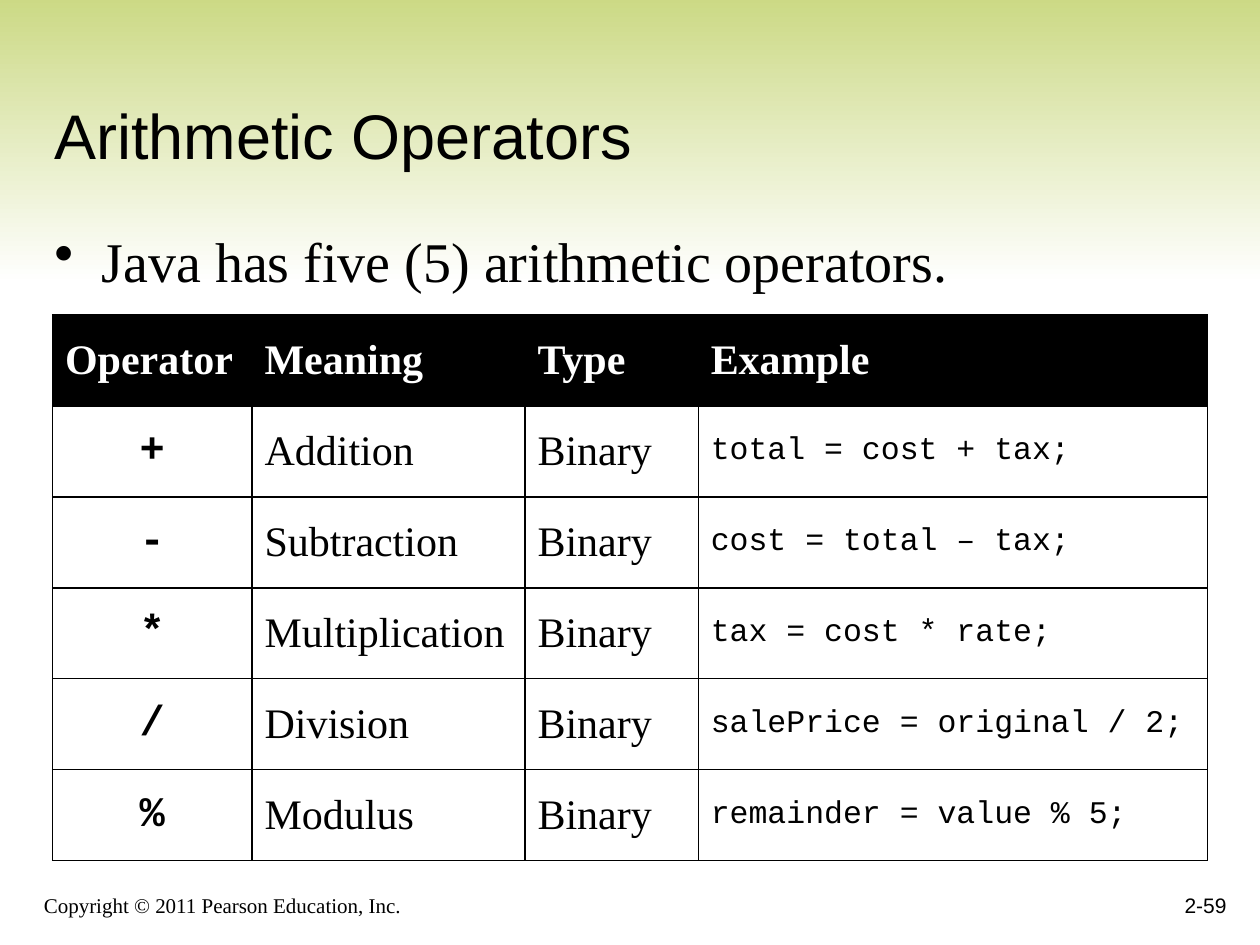
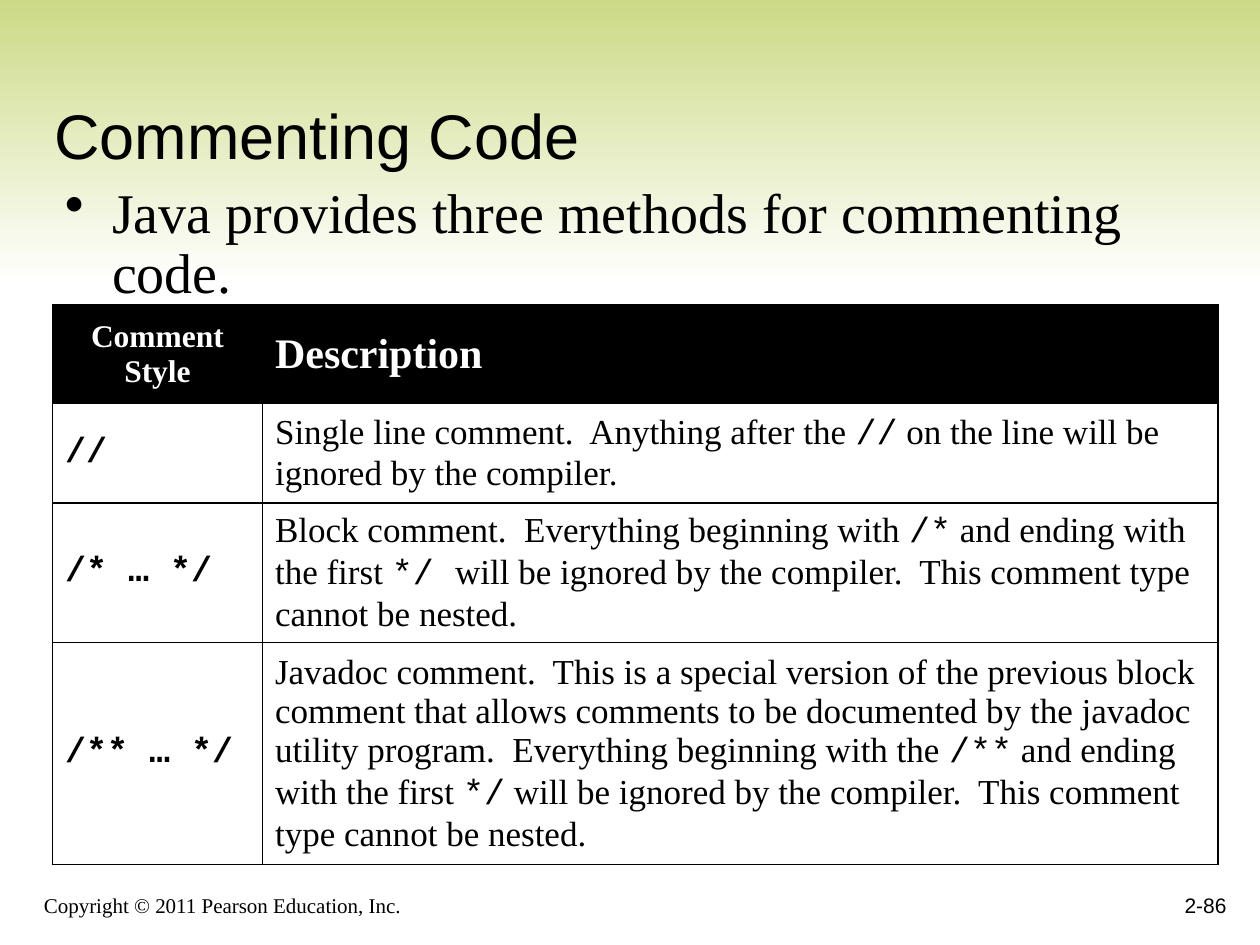
from dataclasses import dataclass, replace

from lxml.etree import SubElement
from pptx import Presentation
from pptx.dml.color import RGBColor
from pptx.enum.shapes import MSO_SHAPE as Shape
from pptx.enum.text import MSO_ANCHOR as Anchor, PP_ALIGN as Align
from pptx.oxml.ns import qn
from pptx.util import Pt


@dataclass(frozen=True)
class TextStyle:
    font: str
    size: float
    color: RGBColor
    bold: bool = False
    align: Align = Align.LEFT


class Theme:
    black = RGBColor(0x00, 0x00, 0x00)
    white = RGBColor(0xFF, 0xFF, 0xFF)
    band_green = RGBColor(0xCA, 0xD8, 0x81)
    serif, sans, mono = "Times New Roman", "Arial", "Courier New"
    border_width = 0.75
    inset_x, inset_y = 7.2, 3.6

    title = TextStyle(sans, 36, black)
    bullet = TextStyle(serif, 32, black)
    copyright = TextStyle(serif, 12, black)
    page_number = TextStyle(sans, 12, black, align=Align.RIGHT)
    header = TextStyle(serif, 24, white, bold=True)
    narrow_header = replace(header, size=18, align=Align.CENTER)
    word = TextStyle(serif, 24, black)
    statement = TextStyle(mono, 18, black)
    operator = TextStyle(mono, 24, black, bold=True, align=Align.CENTER)
    comment_mark = TextStyle(mono, 20, black, bold=True)
    description = TextStyle(serif, 20, black)


class Deck:
    def __init__(self, theme):
        self.theme = theme
        self.presentation = Presentation()
        self.presentation.slide_width = Pt(720)
        self.presentation.slide_height = Pt(540)
        self.slide = None

    def add_slide(self, title, page_number):
        """Start a slide with the band, title and footer that all slides share."""
        theme = self.theme
        self.slide = self.presentation.slides.add_slide(self.presentation.slide_layouts[6])
        self.add_band()
        self.add_text("Copyright © 2011 Pearson Education, Inc.",
                      (18, 498, 438, 30), theme.copyright)
        self.add_text(page_number, (558, 492, 150, 36), theme.page_number)
        self.add_text(title, (24, 24, 678, 78), theme.title)

    def add_band(self):
        band = self.slide.shapes.add_shape(Shape.RECTANGLE, Pt(0), Pt(-6), Pt(720), Pt(168))
        band.shadow.inherit = False
        band.line.fill.background()
        band.fill.gradient()
        band.fill.gradient_angle = 270
        stops = band.fill.gradient_stops
        for stop, color in zip(stops, (self.theme.band_green, self.theme.white)):
            stop.color.rgb = color

    def add_text(self, text, box, style, anchor=Anchor.BOTTOM):
        shape = self.slide.shapes.add_textbox(*map(Pt, box))
        frame = shape.text_frame
        frame.word_wrap = True
        frame.vertical_anchor = anchor
        frame.margin_left = frame.margin_right = Pt(self.theme.inset_x)
        frame.margin_top = frame.margin_bottom = Pt(self.theme.inset_y)
        self.add_runs(frame.paragraphs[0], text, style)
        return frame

    def add_bullet(self, text, box, line_spacing=1.0):
        frame = self.add_text(text, box, self.theme.bullet, Anchor.TOP)
        frame.margin_right = Pt(0)
        paragraph = frame.paragraphs[0]
        paragraph.line_spacing = line_spacing
        properties = paragraph._p.get_or_add_pPr()
        properties.set("marL", str(Pt(27)))
        properties.set("indent", str(Pt(-27)))
        SubElement(properties, qn("a:buChar"), char="•")

    def add_table(self, corner, widths, heights, rows, header_styles, column_styles,
                  body_fill=None):
        """Add a table whose first row is the black header."""
        size = sum(widths), sum(heights)
        frame = self.slide.shapes.add_table(len(rows), len(widths), *map(Pt, corner + size))
        table = frame.table
        table.horz_banding = table.first_row = False
        for column, width in zip(table.columns, widths):
            column.width = Pt(width)
        for row, height in zip(table.rows, heights):
            row.height = Pt(height)
        for row_index, texts in enumerate(rows):
            styles = column_styles if row_index else header_styles
            fill = body_fill if row_index else self.theme.black
            for column_index, (text, style) in enumerate(zip(texts, styles)):
                self.fill_cell(table.cell(row_index, column_index), text, style, fill)

    def fill_cell(self, cell, text, style, fill):
        self.add_borders(cell)
        if fill is None:
            cell.fill.background()
        else:
            cell.fill.solid()
            cell.fill.fore_color.rgb = fill
        cell.vertical_anchor = Anchor.MIDDLE
        cell.margin_left = cell.margin_right = Pt(self.theme.inset_x)
        cell.margin_top = cell.margin_bottom = Pt(self.theme.inset_y)
        self.add_runs(cell.text_frame.paragraphs[0], text, style)

    def add_borders(self, cell):
        properties = cell._tc.get_or_add_tcPr()
        for side in ("a:lnL", "a:lnR", "a:lnT", "a:lnB"):
            line = SubElement(properties, qn(side), w=str(Pt(self.theme.border_width)))
            solid = SubElement(line, qn("a:solidFill"))
            SubElement(solid, qn("a:srgbClr"), val=str(self.theme.black))

    def add_runs(self, paragraph, text, style):
        """Add the text; parts between backticks are set in the code font."""
        paragraph.alignment = style.align
        for index, part in enumerate(text.split("`")):
            font_name = self.theme.mono if index % 2 else style.font
            for line_index, line in enumerate(part.split("\n")):
                if line_index:
                    paragraph.add_line_break()
                run = paragraph.add_run()
                run.text = line
                run.font.name = font_name
                run.font.size = Pt(style.size)
                run.font.bold = style.bold
                run.font.color.rgb = style.color


def add_arithmetic_operators(deck):
    theme = deck.theme
    deck.add_slide("Arithmetic Operators", "2-59")
    deck.add_bullet("Java has five (5) arithmetic operators.", (24, 126, 653, 360))
    operators = [
        ("+", "Addition", "total = cost + tax;"),
        ("-", "Subtraction", "cost = total – tax;"),
        ("*", "Multiplication", "tax = cost * rate;"),
        ("/", "Division", "salePrice = original / 2;"),
        ("%", "Modulus", "remainder = value % 5;"),
    ]
    rows = [("Operator", "Meaning", "Type", "Example")]
    rows += [(sign, meaning, "Binary", example) for sign, meaning, example in operators]
    deck.add_table(
        (30, 180), (114, 156, 99, 291), (52,) * len(rows), rows,
        header_styles=[theme.header] * 4,
        column_styles=[theme.operator, theme.word, theme.word, theme.statement],
        body_fill=theme.white)


def add_commenting_code(deck):
    theme = deck.theme
    deck.add_slide("Commenting Code", "2-86")
    deck.add_bullet("Java provides three methods for commenting code.",
                    (30, 102, 612, 78), line_spacing=0.9)
    rows = [
        ("Comment\nStyle", "Description"),
        ("//", "Single line comment.  Anything after the `//` on the line will be "
               "ignored by the compiler."),
        ("/* … */", "Block comment.  Everything beginning with `/*` and ending with the "
                    "first `*/ `will be ignored by the compiler.  This comment type "
                    "cannot be nested."),
        ("/** … */", "Javadoc comment.  This is a special version of the previous block "
                     "comment that allows comments to be documented by the javadoc "
                     "utility program.  Everything beginning with the `/**` and ending "
                     "with the first `*/` will be ignored by the compiler.  This comment "
                     "type cannot be nested."),
    ]
    deck.add_table(
        (30, 174), (120, 546), (56.5, 57, 79.5, 127), rows,
        header_styles=[theme.narrow_header, theme.header],
        column_styles=[theme.comment_mark, theme.description])


def main():
    deck = Deck(Theme())
    add_arithmetic_operators(deck)
    add_commenting_code(deck)
    deck.presentation.save("out.pptx")


if __name__ == "__main__":
    main()
